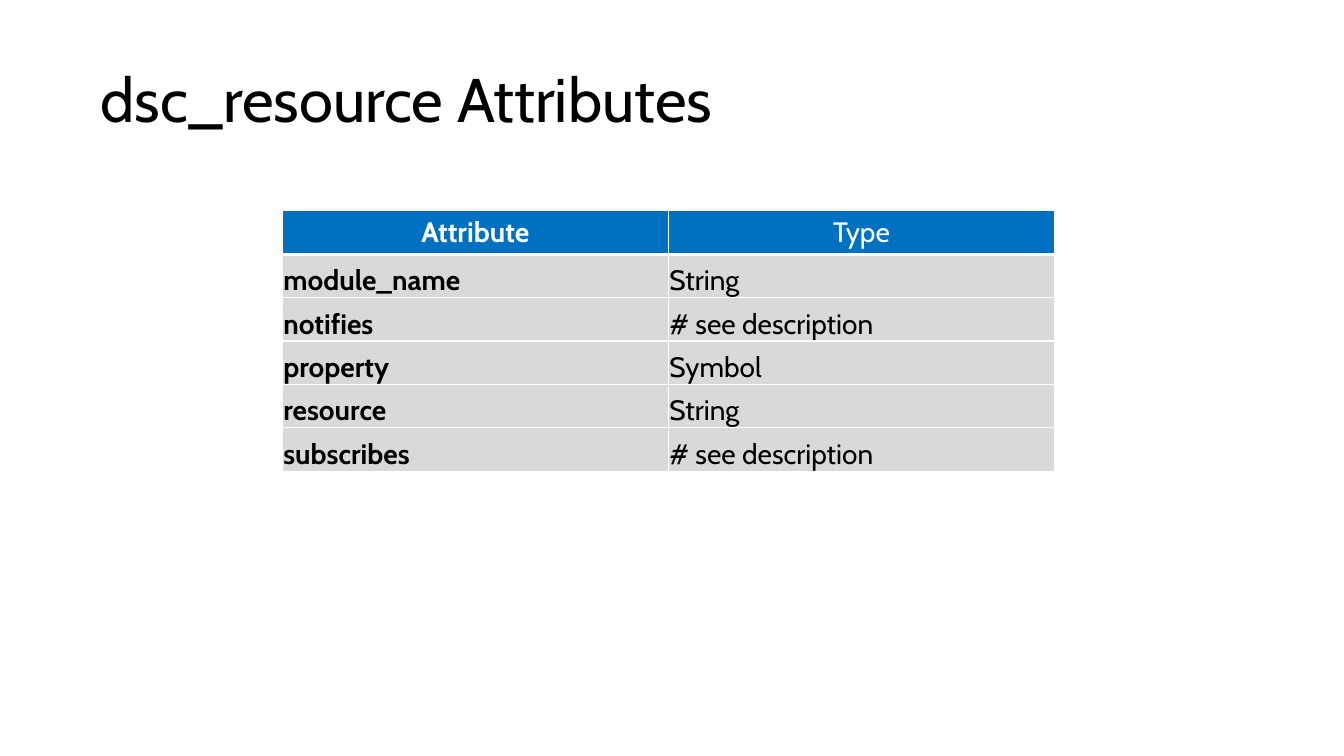
from lxml.etree import SubElement
from pptx import Presentation
from pptx.dml.color import RGBColor
from pptx.enum.text import MSO_ANCHOR, PP_ALIGN
from pptx.oxml.ns import qn
from pptx.util import Inches, Pt

BLACK = RGBColor(0x00, 0x00, 0x00)
WHITE = RGBColor(0xFF, 0xFF, 0xFF)
HEADER_BLUE = RGBColor(0x00, 0x70, 0xC0)
BODY_GREY = RGBColor(0xD9, 0xD9, 0xD9)
FONT = "Cabin"
COLUMN_WIDTH = Inches(3.83)
ROW_HEIGHT = Inches(0.43)
ATTRIBUTES = [
    ("Attribute", "Type"),
    ("module_name", "String"),
    ("notifies", "# see description"),
    ("property", "Symbol"),
    ("resource", "String"),
    ("subscribes", "# see description"),
]


def style_text(para, size, color, bold=False):
    """Give every run of a paragraph the slide's font."""
    for span in para.runs:
        span.font.name = FONT
        span.font.size = Pt(size)
        span.font.bold = bold
        span.font.color.rgb = color


def add_title(page, text):
    """Add the slide title, centred vertically in its band."""
    box = page.shapes.add_textbox(Inches(0.9), Inches(0.29), Inches(11.5), Inches(1.45))
    box.text_frame.word_wrap = True
    box.text_frame.vertical_anchor = MSO_ANCHOR.MIDDLE
    box.text_frame.text = text
    para = box.text_frame.paragraphs[0]
    para.line_spacing = 0.9
    style_text(para, 44, BLACK)


def add_borders(cell, bottom_width):
    """Draw white lines on the four sides of a cell."""
    properties = cell._tc.get_or_add_tcPr()
    for side, width in (("L", 1), ("R", 1), ("T", 1), ("B", bottom_width)):
        line = SubElement(properties, qn(f"a:ln{side}"), w=str(Pt(width)))
        fill = SubElement(line, qn("a:solidFill"))
        SubElement(fill, qn("a:srgbClr"), val=str(WHITE))


def fill_cell(cell, text, is_header, bold):
    """Write and format one table cell."""
    add_borders(cell, 3 if is_header else 1)
    cell.fill.solid()
    cell.fill.fore_color.rgb = HEADER_BLUE if is_header else BODY_GREY
    cell.text_frame.text = text
    para = cell.text_frame.paragraphs[0]
    style_text(para, 20, WHITE if is_header else BLACK, bold)
    if is_header:
        para.alignment = PP_ALIGN.CENTER
    else:
        cell.vertical_anchor = MSO_ANCHOR.BOTTOM
        cell.margin_left = cell.margin_right = cell.margin_top = Inches(0.01)
        cell.margin_bottom = 0


def add_attribute_table(page, rows):
    """Add the table of attributes and their types."""
    column_count = len(rows[0])
    table = page.shapes.add_table(
        len(rows), column_count, Inches(2.8), Inches(2.09),
        COLUMN_WIDTH * column_count, ROW_HEIGHT * len(rows),
    ).table
    for column in table.columns:
        column.width = COLUMN_WIDTH
    for row_index, texts in enumerate(rows):
        table.rows[row_index].height = ROW_HEIGHT
        for column_index, text in enumerate(texts):
            cell = table.cell(row_index, column_index)
            fill_cell(cell, text, row_index == 0, column_index == 0)


def main():
    """Build and save the slide."""
    deck = Presentation()
    deck.slide_width = Inches(13.33)
    deck.slide_height = Inches(7.5)
    page = deck.slides.add_slide(deck.slide_layouts[6])
    add_title(page, "dsc_resource Attributes")
    add_attribute_table(page, ATTRIBUTES)
    deck.save("out.pptx")


if __name__ == "__main__":
    main()
